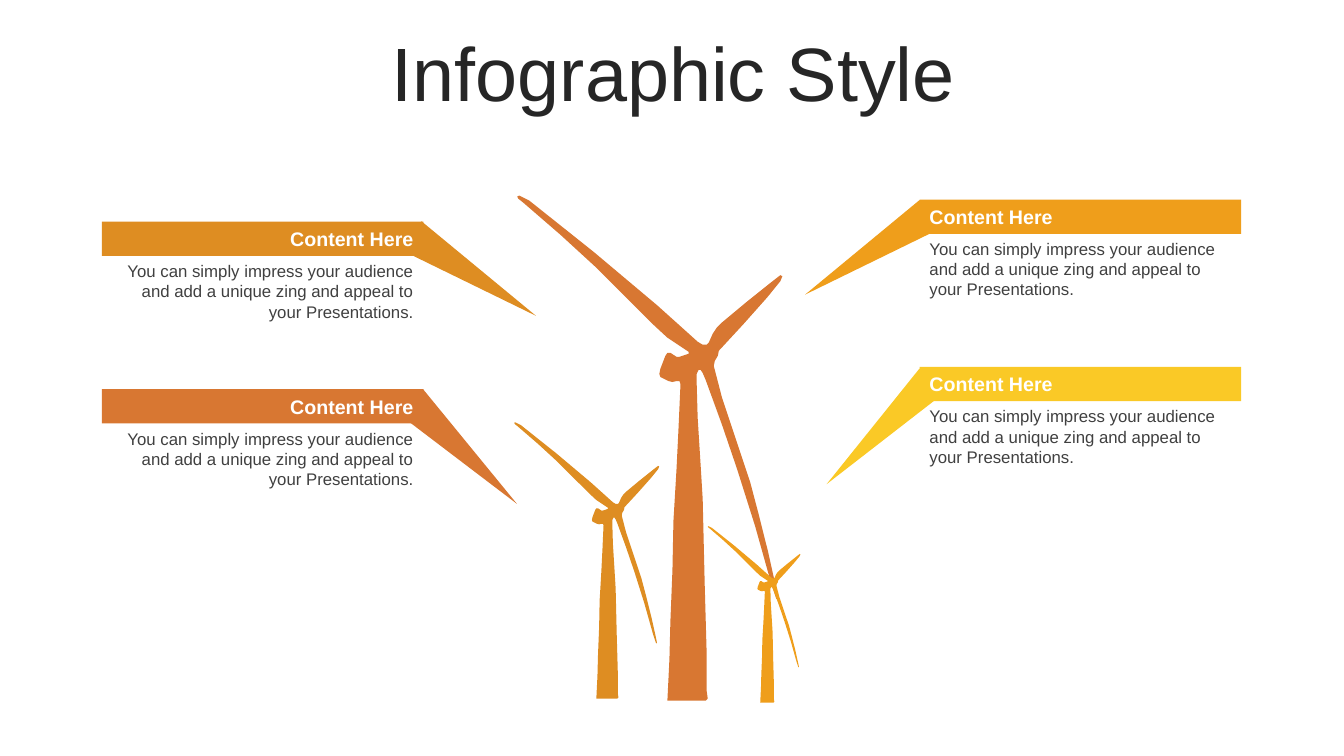
from dataclasses import dataclass

from pptx import Presentation
from pptx.dml.color import RGBColor
from pptx.enum.shapes import MSO_SHAPE
from pptx.enum.text import MSO_ANCHOR, MSO_AUTO_SIZE, PP_ALIGN
from pptx.util import Pt

PX = 9144  # EMU per px, 100 px to the inch


@dataclass(frozen=True)
class Theme:
    font: str = "Arial"
    title_size: int = 54
    heading_size: int = 14
    body_size: int = 12
    title: str = "262626"
    heading: str = "FFFFFF"
    body: str = "404040"
    rust: str = "D87732"
    ochre: str = "DE8D22"
    orange: str = "EF9E1B"
    yellow: str = "FAC926"


THEME = Theme()

HEADING = "Content Here"
BODY = ("You can simply impress your audience and add a unique zing "
        "and appeal to your Presentations.")

CARD_WIDTH, BAR_HEIGHT, BODY_HEIGHT = 319, 34, 71
POINTER_WIDTH, POINTER_HEIGHT = 35, 147
LEFT_CARDS, RIGHT_CARDS = 101, 912

# Card left, card top, colour, pointer left, pointer top, rotation, apex
CARDS = [
    (RIGHT_CARDS, 364, THEME.yellow, 861, 360, 219.6, 0.94),
    (RIGHT_CARDS, 198, THEME.orange, 846, 183, 233.3, 0.79),
    (LEFT_CARDS, 386, THEME.rust, 436, 380, 139.9, 0.06),
    (LEFT_CARDS, 220, THEME.ochre, 449, 204, 126.7, 0.21),
]

# Turbine left, top, height, colour
TURBINES = [
    (513, 194, 501, THEME.rust),
    (510, 419, 274, THEME.ochre),
    (702, 522, 175, THEME.orange),
]

# Turbine outline, relative to its own top left corner
OUTLINE_HEIGHT = 501
OUTLINE = [
    # Left side of the tower
    (149, 501), (151, 460), (152, 422), (154, 372), (155, 323), (158, 272),
    (160, 232), (162, 187), (161, 184), (158, 184),
    # Nacelle
    (154, 185), (150, 184), (142, 180), (141, 177), (142, 172), (147, 159),
    (149, 156), (152, 156), (158, 160), (161, 160), (170, 157), (170, 155),
    (164, 151),
    # Upper left blade
    (149, 141), (135, 128), (107, 100), (79, 72), (43, 39), (6, 7), (1, 3),
    (0, 1), (2, 0), (12, 5), (76, 56), (139, 109), (179, 145), (184, 148),
    (188, 148), (190, 146),
    # Upper right blade
    (194, 137), (198, 131), (203, 126), (227, 106), (252, 86), (261, 79),
    (263, 80), (261, 85), (248, 101), (224, 128), (200, 154), (199, 159),
    (196, 164), (195, 169),
    # Lower blade
    (203, 200), (220, 251), (231, 284), (240, 318), (249, 354), (257, 390),
    (259, 400), (259, 401), (257, 400), (252, 385), (236, 328), (218, 271),
    (203, 227), (187, 183), (184, 176), (182, 173), (180, 173),
    # Right side of the tower
    (178, 177), (178, 185), (179, 220), (182, 268), (184, 301), (186, 386),
    (188, 457), (188, 492), (189, 499), (187, 501),
]


def px(*lengths):
    return [length * PX for length in lengths]


def paint(shape, colour):
    shape.shadow.inherit = False
    shape.fill.solid()
    shape.fill.fore_color.rgb = RGBColor.from_string(colour)
    shape.line.fill.background()


def write(shape, words, size, colour, align, anchor, bold=False):
    frame = shape.text_frame
    frame.word_wrap = True
    frame.vertical_anchor = anchor
    paragraph = frame.paragraphs[0]
    paragraph.alignment = align
    run = paragraph.add_run()
    run.text = words
    run.font.name = THEME.font
    run.font.size = Pt(size)
    run.font.bold = bold
    run.font.color.rgb = RGBColor.from_string(colour)
    return paragraph


def add_title(slide, words):
    title = slide.shapes.add_textbox(*px(35, 37, 1266, 79))
    line = write(title, words, THEME.title_size, THEME.title,
                 PP_ALIGN.CENTER, MSO_ANCHOR.MIDDLE)
    line.line_spacing = 0.9


def add_pointer(slide, left, top, rotation, apex, colour):
    pointer = slide.shapes.add_shape(
        MSO_SHAPE.ISOSCELES_TRIANGLE,
        *px(left, top, POINTER_WIDTH, POINTER_HEIGHT))
    pointer.adjustments[0] = apex
    pointer.rotation = rotation
    paint(pointer, colour)


def add_card(slide, left, top, colour):
    align = PP_ALIGN.RIGHT if left == LEFT_CARDS else PP_ALIGN.LEFT
    bar = slide.shapes.add_shape(
        MSO_SHAPE.RECTANGLE, *px(left, top, CARD_WIDTH, BAR_HEIGHT))
    paint(bar, colour)
    write(bar, HEADING, THEME.heading_size, THEME.heading, align,
          MSO_ANCHOR.MIDDLE, bold=True)
    body = slide.shapes.add_textbox(
        *px(left, top + BAR_HEIGHT, CARD_WIDTH, BODY_HEIGHT))
    write(body, BODY, THEME.body_size, THEME.body, align, MSO_ANCHOR.TOP)
    for part in (bar, body):
        part.text_frame.auto_size = MSO_AUTO_SIZE.SHAPE_TO_FIT_TEXT


def add_turbine(slide, left, top, height, colour):
    outline = slide.shapes.build_freeform(
        *OUTLINE[0], scale=PX * height / OUTLINE_HEIGHT)
    outline.add_line_segments(OUTLINE[1:], close=True)
    paint(outline.convert_to_shape(*px(left, top)), colour)


def main():
    deck = Presentation()
    deck.slide_width, deck.slide_height = px(1333, 750)
    slide = deck.slides.add_slide(deck.slide_layouts[6])

    add_title(slide, "Infographic Style")

    # Pointers lie behind the cards
    for _, _, colour, left, top, rotation, apex in CARDS:
        add_pointer(slide, left, top, rotation, apex, colour)
    for left, top, colour, *_ in CARDS:
        add_card(slide, left, top, colour)

    # Wind turbines, largest at the back
    for turbine in TURBINES:
        add_turbine(slide, *turbine)

    deck.save("out.pptx")


if __name__ == "__main__":
    main()
